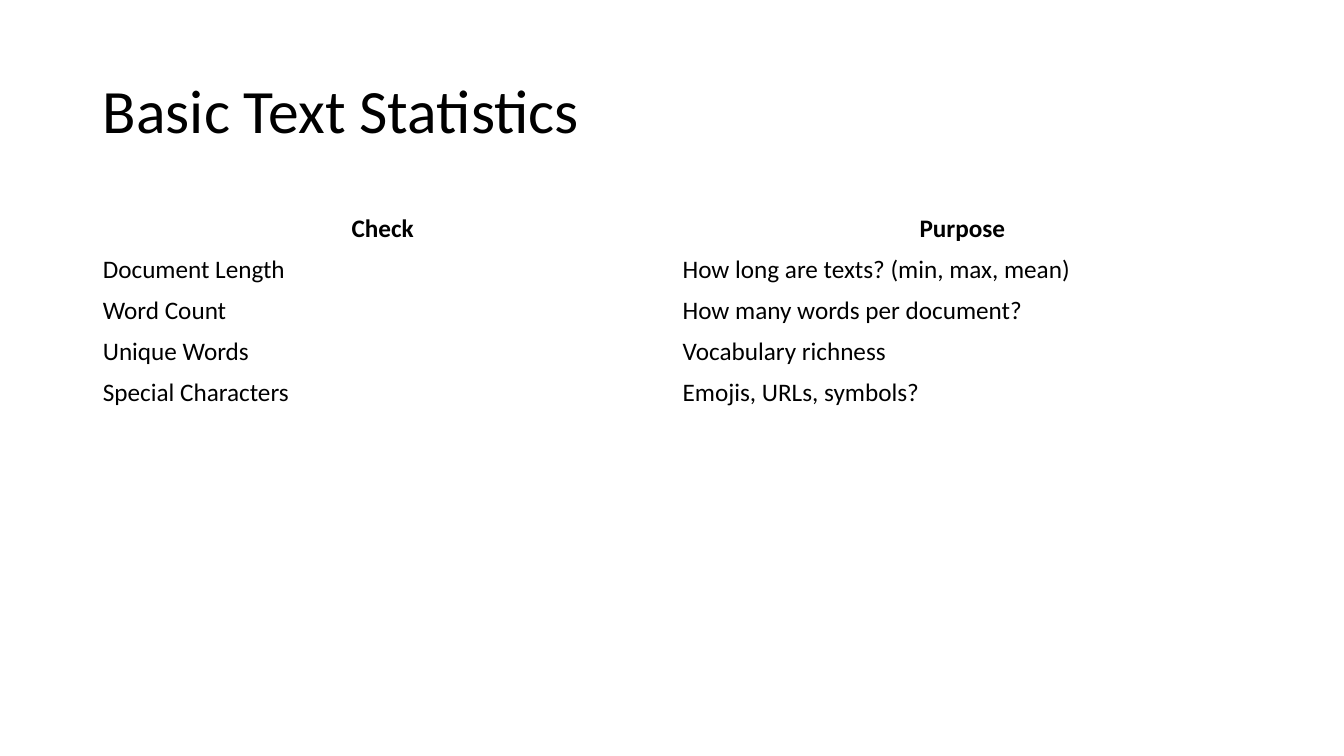
import pptx
import pptx.util
import pptx.dml.color
import pptx.enum.text
from pptx.util import Inches

BLACK = pptx.dml.color.RGBColor(0x00, 0x00, 0x00)
FONT = "Calibri"
LEFT, WIDTH = Inches(0.92), Inches(11.5)
ROW_HEIGHT = Inches(0.4)
CHECKS = [
    ("Check", "Purpose"),
    ("Document Length", "How long are texts? (min, max, mean)"),
    ("Word Count", "How many words per document?"),
    ("Unique Words", "Vocabulary richness"),
    ("Special Characters", "Emojis, URLs, symbols?"),
]


def add_span(para, text, size, bold=False):
    span = para.add_run()
    span.text = text
    span.font.name = FONT
    span.font.size = pptx.util.Pt(size)
    span.font.bold = bold
    span.font.color.rgb = BLACK


deck = pptx.Presentation()
deck.slide_width = Inches(13.33)
deck.slide_height = Inches(7.5)
page = deck.slides.add_slide(deck.slide_layouts[5])

title = page.shapes.title
title.left, title.top = LEFT, Inches(0.4)
title.width, title.height = WIDTH, Inches(1.45)
title.text_frame.vertical_anchor = pptx.enum.text.MSO_ANCHOR.MIDDLE
title_para = title.text_frame.paragraphs[0]
title_para.alignment = pptx.enum.text.PP_ALIGN.LEFT
title_para.line_spacing = 0.9
add_span(title_para, "Basic Text Statistics", 44)

table = page.shapes.add_table(
    len(CHECKS), 2, LEFT, Inches(2.07), WIDTH, ROW_HEIGHT * len(CHECKS)
).table
table.horz_banding = False
table.first_row = True
# Table style "No Style, No Grid" leaves the cells without borders.
table._tbl.tblPr.find(pptx.oxml.ns.qn("a:tableStyleId")).text = (
    "{2D5ABB26-0587-4C30-8999-92F81FD0307C}"
)

for row, texts in enumerate(CHECKS):
    is_header = row == 0
    for column, text in enumerate(texts):
        cell = table.cell(row, column)
        cell.fill.background()
        cell.vertical_anchor = pptx.enum.text.MSO_ANCHOR.MIDDLE
        para = cell.text_frame.paragraphs[0]
        if is_header:
            para.alignment = pptx.enum.text.PP_ALIGN.CENTER
        add_span(para, text, 18, bold=is_header)

deck.save("out.pptx")
